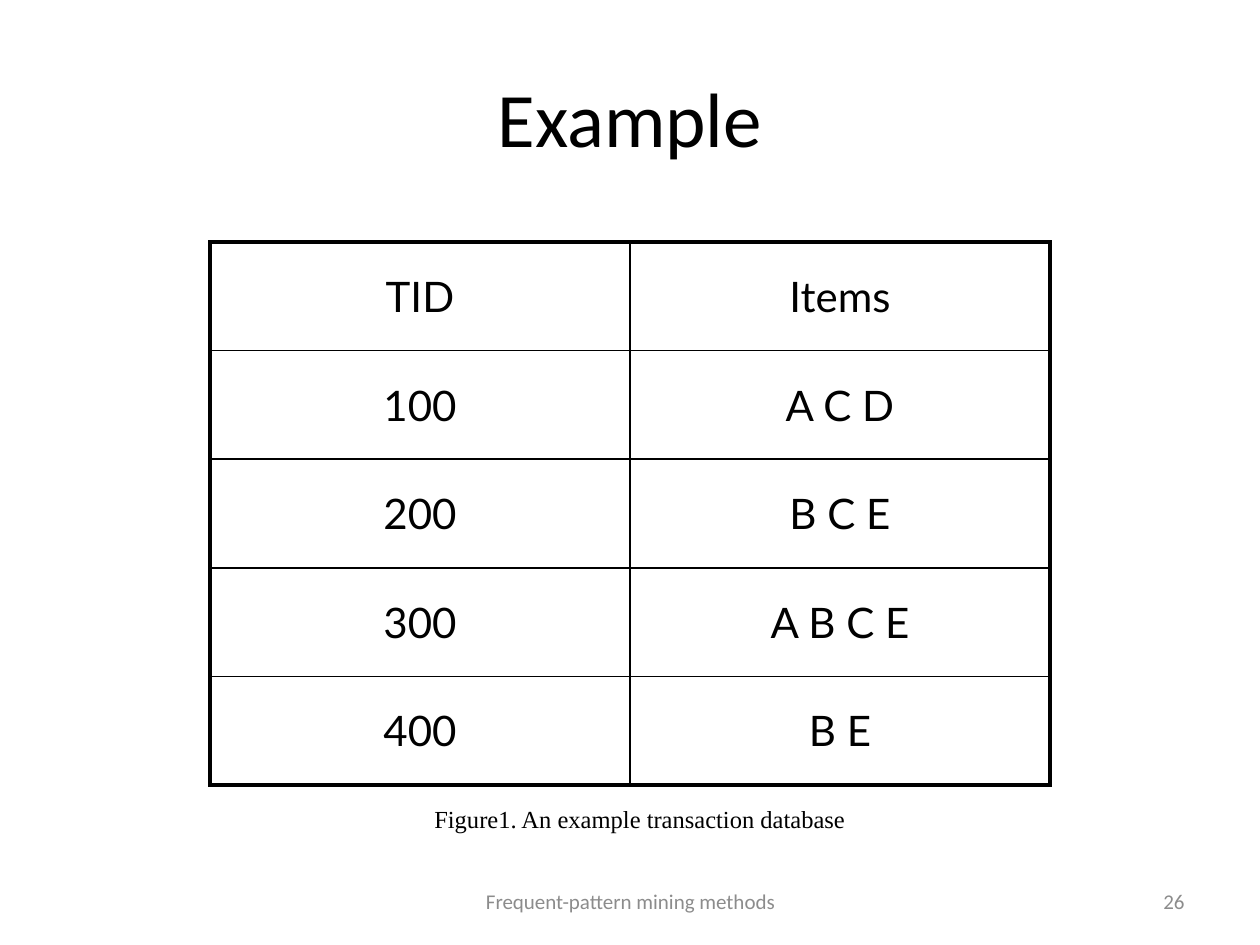
from pptx import Presentation, util as u
from pptx.dml.color import RGBColor
from pptx.enum import text as t
from pptx.oxml import parse_xml
from pptx.oxml.ns import nsdecls

HEAD = "Example"
ROWS = [
    ("TID", "Items"),
    ("100", "A C D"),
    ("200", "B C E"),
    ("300", "A B C E"),
    ("400", "B E"),
]
LEFT, MID, RIGHT = t.PP_ALIGN.LEFT, t.PP_ALIGN.CENTER, t.PP_ALIGN.RIGHT
WIDE, HIGH = u.Inches(10), u.Inches(7.5)
THEME = {
    "title": {"name": "Calibri", "size": u.Pt(44), "color": "000000"},
    "cell": {"name": "Lato", "size": u.Pt(24), "color": "000000"},
    "note": {"name": "Times New Roman", "size": u.Pt(14), "color": "000000"},
    "foot": {"name": "Calibri", "size": u.Pt(12), "color": "8C8C8C"},
    "line": {"color": "000000", "thin": u.Pt(1), "thick": u.Pt(2.25)},
}
GRID = (1 / 6, 0.256, 2 / 3, 0.575)
TITLE = (0.05, 0.04, 0.9, 1 / 6)
NOTES = [
    ("Frequent-pattern mining methods", "foot", MID, t.MSO_ANCHOR.MIDDLE,
     (0.342, 0.927, 0.317, 0.053)),
    ("26", "foot", RIGHT, t.MSO_ANCHOR.MIDDLE, (0.717, 0.927, 0.233, 0.053)),
    ("Figure1. An example transaction database", "note", MID, t.MSO_ANCHOR.TOP,
     (0.308, 0.844, 0.4, 0.045)),
]


def place(box):
    return [round(part * side) for part, side in zip(box, (WIDE, HIGH) * 2)]


def write(frame, words, style, align):
    para = frame.paragraphs[0]
    para.alignment = align
    run = para.add_run()
    run.text = words
    for key, value in THEME[style].items():
        if key == "color":
            run.font.color.rgb = RGBColor.from_string(value)
        else:
            setattr(run.font, key, value)


def border(cell, outer):
    props = cell._tc.get_or_add_tcPr()
    line = THEME["line"]
    for spot, (side, thick) in enumerate(outer.items()):
        width = line["thick" if thick else "thin"]
        props.insert(spot, parse_xml(
            f'<a:{side} {nsdecls("a")} w="{width}"><a:solidFill>'
            f'<a:srgbClr val="{line["color"]}"/></a:solidFill></a:{side}>'))


def table(slide):
    rows, cols = len(ROWS), len(ROWS[0])
    grid = slide.shapes.add_table(rows, cols, *place(GRID)).table
    grid.first_row = grid.horz_banding = False
    for r, row in enumerate(ROWS):
        for c, words in enumerate(row):
            cell = grid.cell(r, c)
            cell.fill.background()
            cell.vertical_anchor = t.MSO_ANCHOR.MIDDLE
            write(cell.text_frame, words, "cell", MID)
            border(cell, {"lnL": c == 0, "lnR": c == cols - 1,
                          "lnT": r == 0, "lnB": r == rows - 1})


def main():
    deck = Presentation()
    deck.slide_width, deck.slide_height = WIDE, HIGH
    slide = deck.slides.add_slide(deck.slide_layouts[5])
    title = slide.shapes.title
    for key, value in zip(("left", "top", "width", "height"), place(TITLE)):
        setattr(title, key, value)
    title.text_frame.vertical_anchor = t.MSO_ANCHOR.MIDDLE
    write(title.text_frame, HEAD, "title", MID)
    table(slide)
    for words, style, align, anchor, box in NOTES:
        frame = slide.shapes.add_textbox(*place(box)).text_frame
        frame.word_wrap = True
        frame.vertical_anchor = anchor
        write(frame, words, style, align)
    deck.save("out.pptx")


if __name__ == "__main__":
    main()
